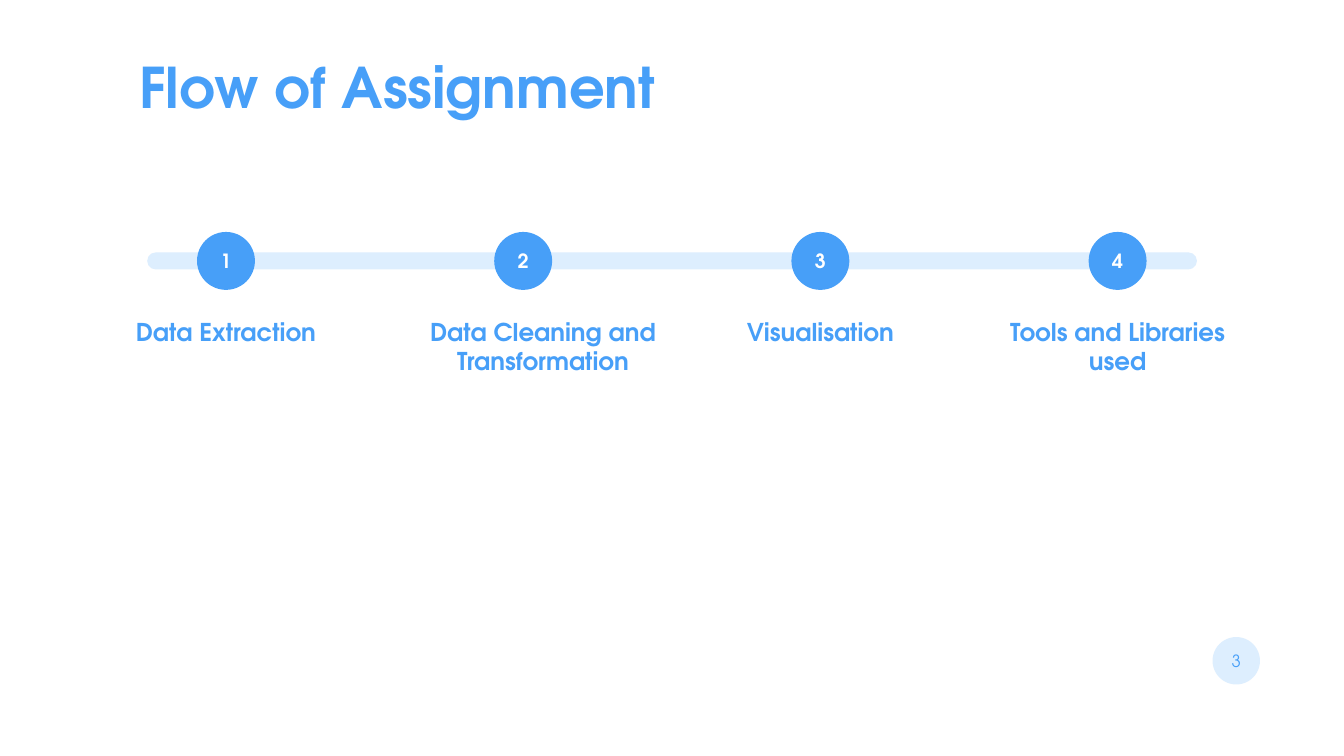
"""Build the assignment flow slide: a four-step timeline with a page badge."""
from pptx import Presentation
from pptx.dml.color import RGBColor
from pptx.enum import shapes, text
from pptx.util import Cm, Pt

TITLE = "Flow of Assignment"
PAGE = "3"
STEPS = [
    ("Data Extraction", 12.01, 0),
    ("Data Cleaning and Transformation", 14.02, 1),
    ("Visualisation", 12.01, 0),
    ("Tools and Libraries used", 12.01, 0),
]
FONT = "TeX Gyre Adventor"
BLUE = RGBColor(0x47, 0x9F, 0xF8)
PALE = RGBColor(0xDD, 0xEE, 0xFE)
WHITE = RGBColor(0xFF, 0xFF, 0xFF)

FIRST_X, STEP_X = 11.39, 14.98
LINE_Y, DOT = 13.15, 2.92
BAR_X, BAR_W, BAR_H = 7.42, 52.91, 0.86
LABEL_Y, LABEL_H = 15.82, 3.28
PAGE_X, PAGE_Y, PAGE_D = 62.31, 33.3, 2.39


def write(sp, words, size, color, bold=True, align=text.PP_ALIGN.CENTER,
          anchor=text.MSO_ANCHOR.MIDDLE, wrap=True):
    tf = sp.text_frame
    tf.text = words
    tf.word_wrap = wrap
    tf.auto_size = text.MSO_AUTO_SIZE.NONE
    tf.vertical_anchor = anchor
    tf.margin_left = tf.margin_right = tf.margin_top = tf.margin_bottom = Cm(0.15)
    p = tf.paragraphs[0]
    p.alignment = align
    p.line_spacing = 1.0
    p.space_before = Pt(0)
    font = p.runs[0].font
    font.name, font.size, font.bold = FONT, Pt(size), bold
    font.color.rgb = color


def add_filled(s, kind, cx, cy, w, h, color):
    sp = s.shapes.add_shape(kind, Cm(cx - w / 2), Cm(cy - h / 2), Cm(w), Cm(h))
    sp.shadow.inherit = False
    sp.fill.solid()
    sp.fill.fore_color.rgb = color
    sp.line.fill.background()
    return sp


prs = Presentation()
prs.slide_width, prs.slide_height = Cm(67.74), Cm(38.1)
s = prs.slides.add_slide(prs.slide_layouts[5])

title = s.shapes.title
title.left, title.top, title.width, title.height = Cm(6.86), Cm(2.49), Cm(49.61), Cm(3.71)
write(title, TITLE, 80, BLUE, align=text.PP_ALIGN.LEFT, anchor=text.MSO_ANCHOR.TOP)

badge = add_filled(s, shapes.MSO_SHAPE.OVAL, PAGE_X, PAGE_Y, PAGE_D, PAGE_D, PALE)
write(badge, PAGE, 24, BLUE, bold=False, wrap=False)

bar = add_filled(s, shapes.MSO_SHAPE.ROUNDED_RECTANGLE,
                 BAR_X + BAR_W / 2, LINE_Y, BAR_W, BAR_H, PALE)
bar.adjustments[0] = 0.5

for i, (label, width, shift) in enumerate(STEPS):
    cx = FIRST_X + i * STEP_X
    dot = add_filled(s, shapes.MSO_SHAPE.OVAL, cx, LINE_Y, DOT, DOT, BLUE)
    write(dot, str(i + 1), 28, WHITE, wrap=False)
    box = s.shapes.add_textbox(Cm(cx + shift - width / 2), Cm(LABEL_Y), Cm(width), Cm(LABEL_H))
    write(box, label, 35, BLUE, anchor=text.MSO_ANCHOR.TOP)

prs.save("out.pptx")
